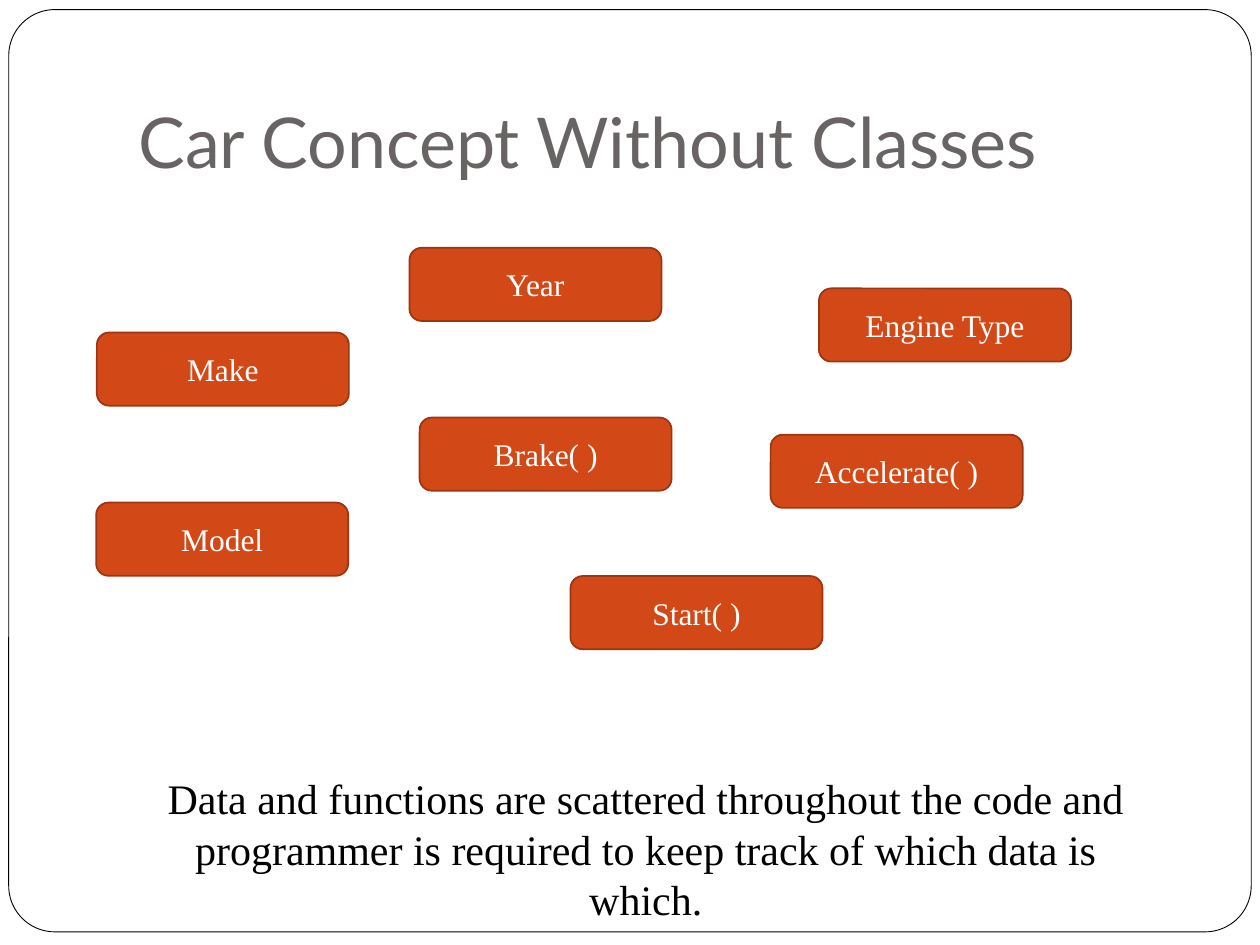
from pptx import Presentation
from pptx.dml.color import RGBColor
from pptx.enum.shapes import MSO_SHAPE
from pptx.enum.text import MSO_ANCHOR, PP_ALIGN
from pptx.util import Pt

ROUNDED = MSO_SHAPE.ROUNDED_RECTANGLE
LEFT, CENTER = PP_ALIGN.LEFT, PP_ALIGN.CENTER
TOP, MIDDLE, BOTTOM = MSO_ANCHOR.TOP, MSO_ANCHOR.MIDDLE, MSO_ANCHOR.BOTTOM

WHITE = RGBColor(0xFF, 0xFF, 0xFF)
BLACK = RGBColor(0x00, 0x00, 0x00)
GRAY = RGBColor(0x69, 0x64, 0x64)
ORANGE = RGBColor(0xD3, 0x48, 0x17)
RUST = RGBColor(0x9C, 0x35, 0x11)

HEADING_FONT, BODY_FONT = "Lato", "Times New Roman"
MEMBER_W, MEMBER_H = 144, 41.8

# Car members: name, left and top within the diagram region
MEMBERS = [
    ("Make", 0.6, 48.4),
    ("Model", 0.2, 145.6),
    ("Engine Type", 413.2, 23.2),
    ("Accelerate( )", 385.6, 106.8),
    ("Brake( )", 185, 97),
    ("Start( )", 271.2, 187.6),
    ("Year", 179.2, 0),
]


def set_text(sp, text, size=18, font=BODY_FONT, color=BLACK,
             align=CENTER, anchor=TOP, bottom=3.6):
    tf = sp.text_frame
    tf.word_wrap = True
    tf.vertical_anchor = anchor
    tf.margin_bottom = Pt(bottom)
    p = tf.paragraphs[0]
    p.alignment = align
    r = p.add_run()
    r.text = text
    r.font.size = Pt(size)
    r.font.name = font
    r.font.color.rgb = color


def add_rounded(s, x, y, w, h, fill, line, weight):
    sp = s.shapes.add_shape(ROUNDED, Pt(x), Pt(y), Pt(w), Pt(h))
    sp.shadow.inherit = False
    sp.fill.solid()
    sp.fill.fore_color.rgb = fill
    sp.line.color.rgb = line
    sp.line.width = Pt(weight)
    return sp


def add_frame(s, x, y, w, h):
    sp = add_rounded(s, x, y, w, h, WHITE, BLACK, 0.5)
    sp.adjustments[0] = 0.05


def add_title(s, x, y, w, h):
    sp = s.shapes.add_textbox(Pt(x), Pt(y), Pt(w), Pt(h))
    set_text(sp, "Car Concept Without Classes", size=40, font=HEADING_FONT,
             color=GRAY, align=LEFT, anchor=BOTTOM, bottom=7.2)


def add_members(s, x, y):
    for name, dx, dy in MEMBERS:
        sp = add_rounded(s, x + dx, y + dy, MEMBER_W, MEMBER_H, ORANGE, RUST, 1)
        set_text(sp, name, color=WHITE, anchor=MIDDLE)


def add_caption(s, x, y, w, h):
    sp = s.shapes.add_textbox(Pt(x), Pt(y), Pt(w), Pt(h))
    set_text(sp, "Data and functions are scattered throughout the code and "
                 "programmer is required to keep track of which data is which.",
             size=24)


def main():
    prs = Presentation()
    prs.slide_width, prs.slide_height = Pt(720), Pt(540)
    s = prs.slides.add_slide(prs.slide_layouts[6])

    # Page frame and heading
    add_frame(s, 5, 5.5, 710, 527)
    add_title(s, 72, 21.6, 612, 90)

    # Scattered data and functions, with the conclusion below
    add_members(s, 54.8, 141.6)
    add_caption(s, 72, 438, 594, 65.4)

    prs.save("out.pptx")


if __name__ == "__main__":
    main()
